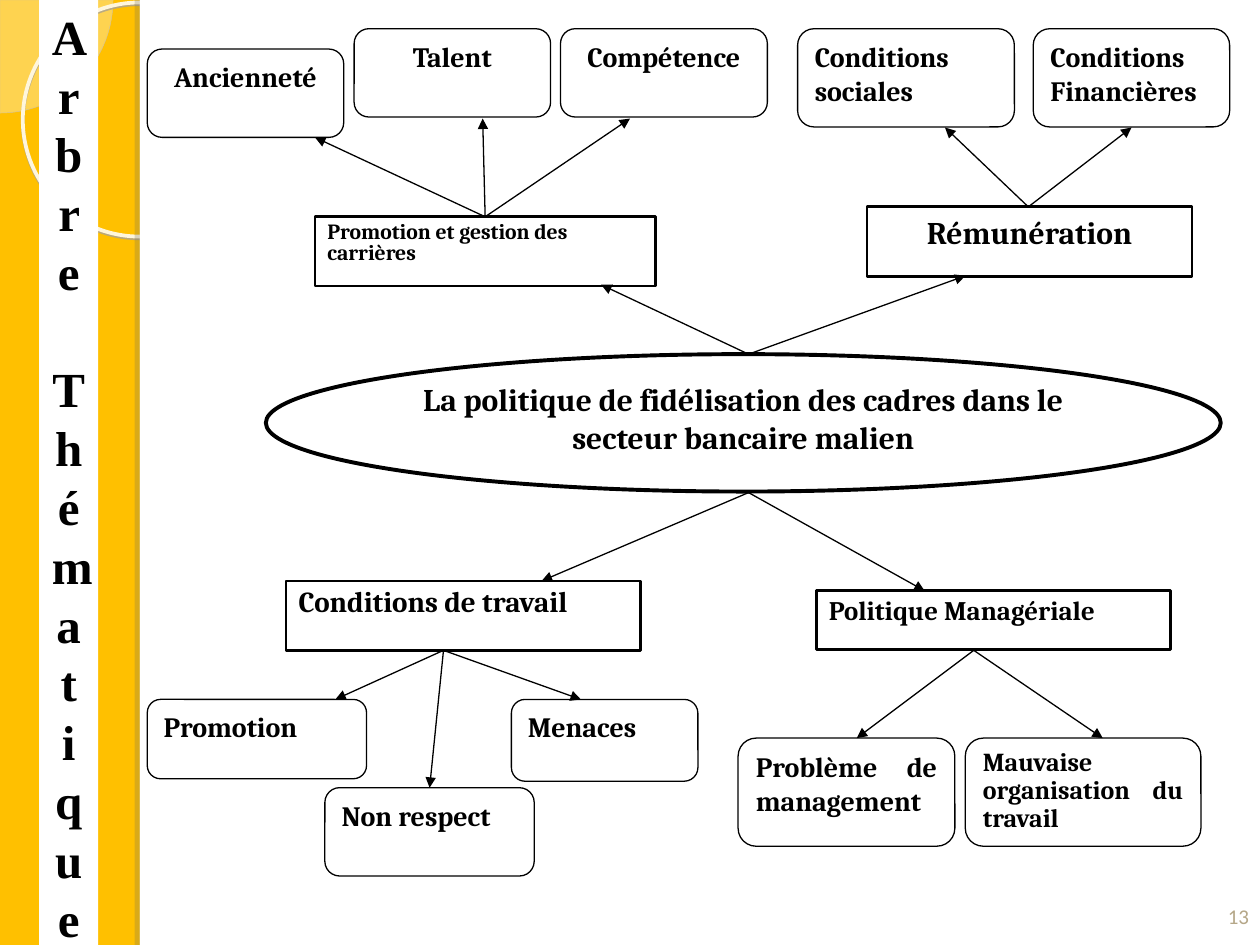
from math import cos, pi, sin

from lxml.etree import SubElement
from pptx import Presentation
from pptx.dml.color import RGBColor
from pptx.enum.shapes import MSO_CONNECTOR, MSO_SHAPE
from pptx.enum.text import MSO_ANCHOR, MSO_AUTO_SIZE, PP_ALIGN
from pptx.oxml.ns import qn
from pptx.util import Cm, Pt

BLACK = RGBColor(0x00, 0x00, 0x00)
WHITE = RGBColor(0xFF, 0xFF, 0xFF)
AMBER = RGBColor(0xFF, 0xC0, 0x00)
CREAM = RGBColor(0xFE, 0xFA, 0xF4)
SAND = RGBColor(0xD2, 0xC3, 0x9E)
IVORY = RGBColor(0xFF, 0xF6, 0xDB)
TAUPE = RGBColor(0xB5, 0xA7, 0x88)

TITLE_LINES = ("Arbre", "Thémat", "ique")
PAGE_NUMBER = "13"
LEFT, CENTER, JUSTIFY = PP_ALIGN.LEFT, PP_ALIGN.CENTER, PP_ALIGN.JUSTIFY

TOPIC = [
    ("La politique de fidélisation des cadres dans le secteur bancaire malien",
     (5.36, 7.14, 19.25, 2.77), 18, CENTER, 1),
]
THEMES = [
    ("Promotion et gestion des carrières", (6.35, 4.37, 6.86, 1.4), 12.4, LEFT, 0.8),
    ("Rémunération", (17.48, 4.17, 6.55, 1.4), 18, CENTER, 1),
    ("Politique Managériale", (16.46, 11.91, 7.14, 1.19), 15.3, JUSTIFY, 0.9),
    ("Conditions de travail", (5.77, 11.71, 7.14, 1.4), 16.6, JUSTIFY, 0.9),
]
FACTORS = [
    ("Ancienneté", (2.97, 0.99, 3.96, 1.78), 16, CENTER, 1),
    ("Talent", (7.14, 0.58, 3.96, 1.78), 16, CENTER, 1),
    ("Compétence", (11.3, 0.58, 4.17, 1.78), 16, CENTER, 1),
    ("Conditions sociales", (16.08, 0.58, 4.37, 1.98), 16, JUSTIFY, 1),
    ("Conditions Financières", (20.83, 0.58, 3.96, 1.98), 16, JUSTIFY, 1),
    ("Mauvaise organisation du travail", (19.46, 14.88, 4.75, 2.18), 14.8, JUSTIFY, 0.9),
    ("Problème de management", (14.88, 14.88, 4.37, 2.18), 16, JUSTIFY, 1),
    ("Menaces", (10.31, 14.1, 3.76, 1.65), 16, JUSTIFY, 1),
    ("Non respect", (6.55, 15.88, 4.22, 1.78), 16, JUSTIFY, 1),
    ("Promotion", (2.97, 14.1, 4.42, 1.6), 16, JUSTIFY, 1),
]
LEVELS = [
    (MSO_SHAPE.OVAL, 2.25, TOPIC),
    (MSO_SHAPE.RECTANGLE, 1.5, THEMES),
    (MSO_SHAPE.ROUNDED_RECTANGLE, 0.75, FACTORS),
]
BRANCHES = [
    ((15.09, 7.14), [(12.12, 5.74), (19.46, 5.56)]),
    ((15.09, 9.93), [(18.64, 11.91), (10.92, 11.71)]),
    ((9.78, 4.37), [(12.7, 2.39), (9.73, 2.39), (6.35, 2.77)]),
    ((20.73, 4.17), [(22.81, 2.57), (19.05, 2.57)]),
    ((19.63, 13.11), [(22.23, 14.88), (17.27, 14.88)]),
    ((8.94, 13.11), [(11.71, 14.1), (8.66, 15.88), (6.76, 14.1)]),
]


def add_shape(page, kind, place, fill=None, line=None, width=0.75):
    shape = page.shapes.add_shape(kind, *map(Cm, place))
    shape.shadow.inherit = False
    paint(shape, fill, line, width)
    return shape


def paint(shape, fill, line, width):
    if fill is None:
        shape.fill.background()
    else:
        shape.fill.solid()
        shape.fill.fore_color.rgb = fill
    if line is None:
        shape.line.fill.background()
    else:
        shape.line.color.rgb = line
        shape.line.width = Pt(width)


def add_shadow(shape, color, alpha, distance, angle):
    effects = shape.element.spPr.find(qn("a:effectLst"))
    shadow = SubElement(effects, qn("a:outerShdw"), blurRad="0", dist=str(Pt(distance)),
                        dir=str(angle * 60000), algn="tl", rotWithShape="0")
    tint = SubElement(shadow, qn("a:srgbClr"), val=color)
    SubElement(tint, qn("a:alpha"), val=str(alpha * 1000))


def format_text(para, font, size, color, align, bold=True):
    para.alignment = align
    for span in para.runs:
        span.font.name = font
        span.font.size = Pt(size)
        span.font.bold = bold
        span.font.color.rgb = color


def add_backdrop(page):
    page.background.fill.solid()
    page.background.fill.fore_color.rgb = AMBER
    radius, steps = 2.28, 30
    arc = [(Cm(radius * cos(pi / 2 * i / steps)), Cm(radius * sin(pi / 2 * i / steps)))
           for i in range(steps + 1)]
    builder = page.shapes.build_freeform(0, 0)
    builder.add_line_segments(arc, close=True)
    quarter = builder.convert_to_shape()
    quarter.shadow.inherit = False
    paint(quarter, CREAM, SAND, 0.25)
    tint = quarter.element.spPr.find(qn("a:solidFill"))[0]
    SubElement(tint, qn("a:alpha"), val="33000")

    ring = add_shape(page, MSO_SHAPE.OVAL, (0.46, 0.05, 4.72, 4.72), None, IVORY, 2.15)
    add_shadow(ring, "AFA58D", 85, 1, 90)
    add_shape(page, MSO_SHAPE.RECTANGLE, (2.82, 0, 22.58, 19.05), WHITE)
    edge = add_shape(page, MSO_SHAPE.RECTANGLE, (2.82, 0, 0.2, 19.05), WHITE)
    add_shadow(edge, "706B5F", 25, 3, 180)


def add_title(page):
    title = page.shapes.title
    title.left, title.top, title.width, title.height = map(Cm, (0.79, 0, 1.19, 19.05))
    paint(title, WHITE, None, 0)
    frame = title.text_frame
    frame.text = "\n".join(TITLE_LINES)
    frame.word_wrap = True
    frame.auto_size = MSO_AUTO_SIZE.NONE
    frame.vertical_anchor = MSO_ANCHOR.TOP
    for para in frame.paragraphs:
        format_text(para, "Times New Roman", 28, BLACK, CENTER)
        para.line_spacing = Pt(33.6)
    frame.paragraphs[1].space_before = Pt(33.6)
    page.shapes.element.append(title.element)


def add_page_number(page):
    box = page.shapes.add_textbox(*map(Cm, (24.33, 17.53, 1.27, 1.32)))
    frame = box.text_frame
    frame.text = PAGE_NUMBER
    frame.word_wrap = True
    frame.vertical_anchor = MSO_ANCHOR.BOTTOM
    format_text(frame.paragraphs[0], "Calibri", 12, TAUPE, CENTER, bold=False)


def add_node(page, kind, width, node):
    text, place, size, align, spacing = node
    box = add_shape(page, kind, place, WHITE, BLACK, width)
    frame = box.text_frame
    frame.text = text
    frame.word_wrap = True
    frame.vertical_anchor = MSO_ANCHOR.TOP
    para = frame.paragraphs[0]
    para.line_spacing = spacing
    format_text(para, "Cambria", size, BLACK, align)


def add_arrow(page, start, end):
    arrow = page.shapes.add_connector(MSO_CONNECTOR.STRAIGHT, *map(Cm, start + end))
    arrow.line.color.rgb = BLACK
    arrow.line.width = Pt(0.75)
    SubElement(arrow.line._get_or_add_ln(), qn("a:tailEnd"), type="triangle")
    SubElement(arrow.element.spPr, qn("a:effectLst"))


def main():
    deck = Presentation()
    deck.slide_width, deck.slide_height = Cm(25.4), Cm(19.05)
    page = deck.slides.add_slide(deck.slide_layouts[5])
    add_backdrop(page)
    add_page_number(page)
    add_title(page)
    for kind, width, nodes in LEVELS:
        for node in nodes:
            add_node(page, kind, width, node)
    for start, ends in BRANCHES:
        for end in ends:
            add_arrow(page, start, end)
    deck.save("out.pptx")


if __name__ == "__main__":
    main()
